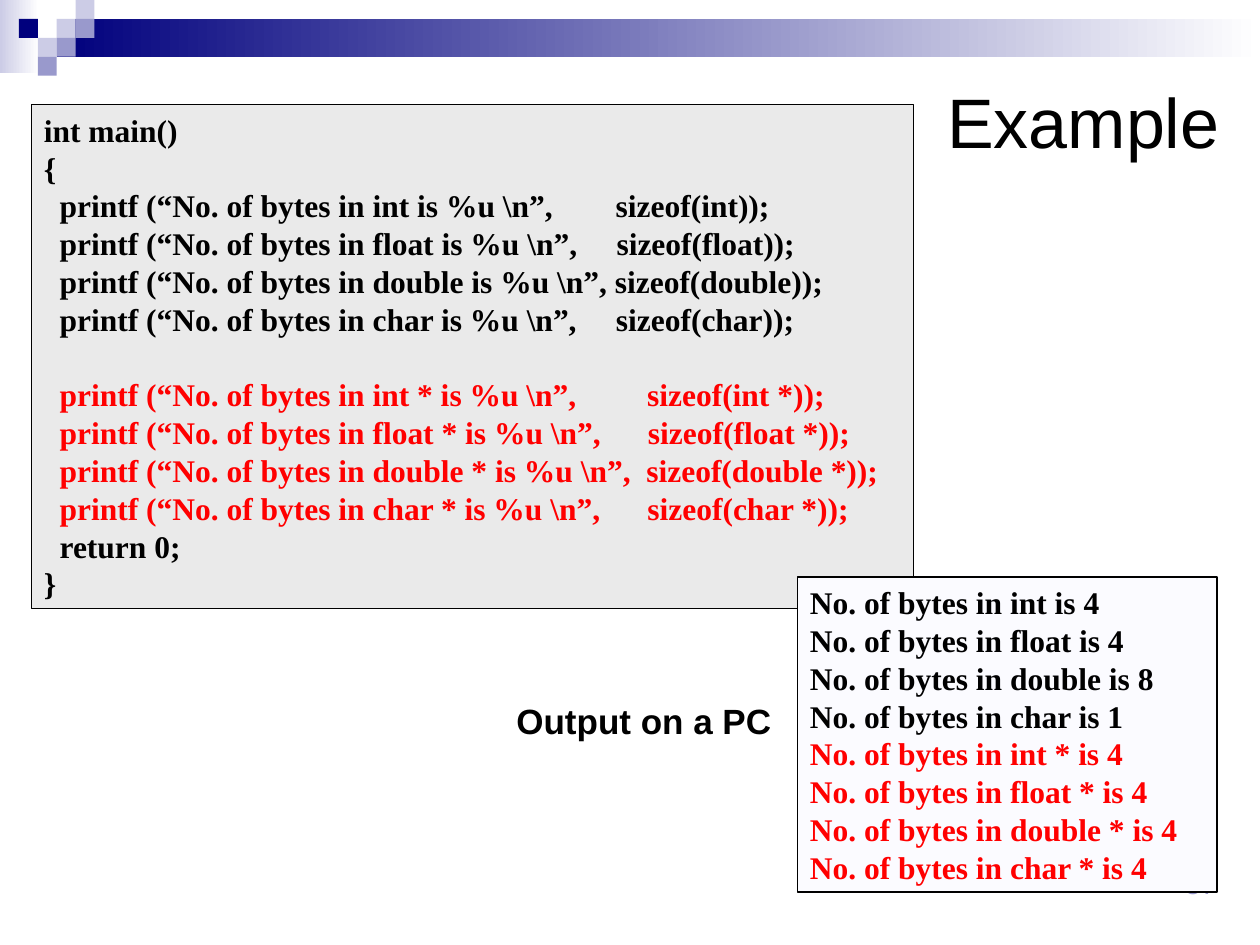
from pptx import Presentation
from pptx.dml.color import RGBColor
from pptx.enum.shapes import MSO_SHAPE as Shape
from pptx.enum.text import MSO_ANCHOR as Anchor, PP_ALIGN as Align
from pptx.util import Inches, Pt

BLACK, RED, NAVY, LILAC, PALE, WHITE = "000000", "FF0000", "00007D", "9999CC", "CCCCE6", "FFFFFF"
UNIT = 0.15
LINE_PITCH = 21.6
STEP = 0.125
GRADIENTS = [((0, 0, 0.31, 0.58), PALE), ((0.45, 0.15, 9.55, 0.3), NAVY)]
SQUARES = [(3, 1, PALE), (4, 0, PALE), (4, 1, LILAC), (2, 2, PALE),
           (1, 1, NAVY), (3, 2, LILAC), (2, 3, LILAC)]
SIZES = [("int", 4), ("float", 4), ("double", 8), ("char", 1),
         ("int *", 4), ("float *", 4), ("double *", 4), ("char *", 4)]
CODE_GAPS = {"int": 8, "float": 5, "double": 1, "char": 5}
LABELS = [
    ((9.17, 6.83, 0.58, 0.5), "37", 16, LILAC, False, Align.RIGHT, Anchor.TOP),
    ((7.42, 0.42, 2.83, 1.08), "Example", 40, BLACK, False, Align.LEFT, Anchor.MIDDLE),
    ((4, 5.5, 2.33, 0.44), "Output on a PC", 20, BLACK, True, Align.LEFT, Anchor.MIDDLE),
]


def rgb(value):
    """Turn a hex string into a colour."""
    return RGBColor.from_string(value)


def add_box(slide, place, fill, fade=None, line=None):
    """Add a rectangle with a plain fill or a left-to-right fade."""
    box = slide.shapes.add_shape(Shape.RECTANGLE, *map(Inches, place))
    box.shadow.inherit = False
    if fade:
        box.fill.gradient()
        box.fill.gradient_angle = 0
        for stop, colour, position in zip(box.fill.gradient_stops, (fill, fade), (0, 1)):
            stop.color.rgb, stop.position = rgb(colour), position
    else:
        box.fill.solid()
        box.fill.fore_color.rgb = rgb(fill)
    if line:
        box.line.color.rgb, box.line.width = rgb(line), Pt(1)
    else:
        box.line.fill.background()
    return box


def style(para, name, size, colour, bold):
    """Set the font of a whole paragraph."""
    font = para.font
    font.name, font.size, font.bold = name, Pt(size), bold
    font.color.rgb = rgb(colour)


def add_label(slide, place, text, size, colour, bold, align, anchor):
    """Add a single line of free text."""
    frame = slide.shapes.add_textbox(*map(Inches, place)).text_frame
    frame.word_wrap, frame.vertical_anchor = True, anchor
    para = frame.paragraphs[0]
    para.text, para.alignment = text, align
    style(para, "Arial", size, colour, bold)


def add_listing(slide, place, fill, lines):
    """Add a framed box of lines given as text, colour, indent and space before."""
    frame = add_box(slide, place, fill, line=BLACK).text_frame
    frame.word_wrap, frame.vertical_anchor = True, Anchor.TOP
    for number, (text, colour, indent, space) in enumerate(lines):
        para = frame.add_paragraph() if number else frame.paragraphs[0]
        para.text, para.alignment = text, Align.LEFT
        para.line_spacing, para.space_before = Pt(LINE_PITCH), Pt(space)
        style(para, "Times New Roman", 18, colour, True)
        properties = para._p.get_or_add_pPr()
        properties.set("marL", str(Inches(indent)))
        properties.set("indent", "0")


def main():
    """Build the slide and save it."""
    deck = Presentation()
    deck.slide_width, deck.slide_height = Inches(10), Inches(7.5)
    slide = deck.slides.add_slide(deck.slide_layouts[6])

    for place, colour in GRADIENTS:
        add_box(slide, place, colour, fade=WHITE)
    for column, row, colour in SQUARES:
        add_box(slide, (column * UNIT, row * UNIT, UNIT, UNIT), colour)

    code = [("int main()", BLACK, 0, 0), ("{", BLACK, 0, 0)]
    output = []
    for kind, size in SIZES:
        pointer = kind.endswith("*")
        colour = RED if pointer else BLACK
        space = LINE_PITCH if kind == "int *" else 0
        gap = " " * (CODE_GAPS[kind.rstrip(" *")] + pointer)
        call = f"printf (“No. of bytes in {kind} is %u \\n”,{gap}sizeof({kind}));"
        code.append((call, colour, STEP, space))
        output.append((f"No. of bytes in {kind} is {size}", colour, 0, 0))
    code += [("return 0;", BLACK, STEP, 0), ("}", BLACK, 0, 0)]

    page_number, title, caption = LABELS
    add_label(slide, *page_number)
    add_label(slide, *title)
    add_listing(slide, (0.25, 0.83, 7, 4), "EAEAEA", code)
    add_listing(slide, (6.33, 4.58, 3.33, 2.5), "FBFBFF", output)
    add_label(slide, *caption)
    deck.save("out.pptx")


if __name__ == "__main__":
    main()
